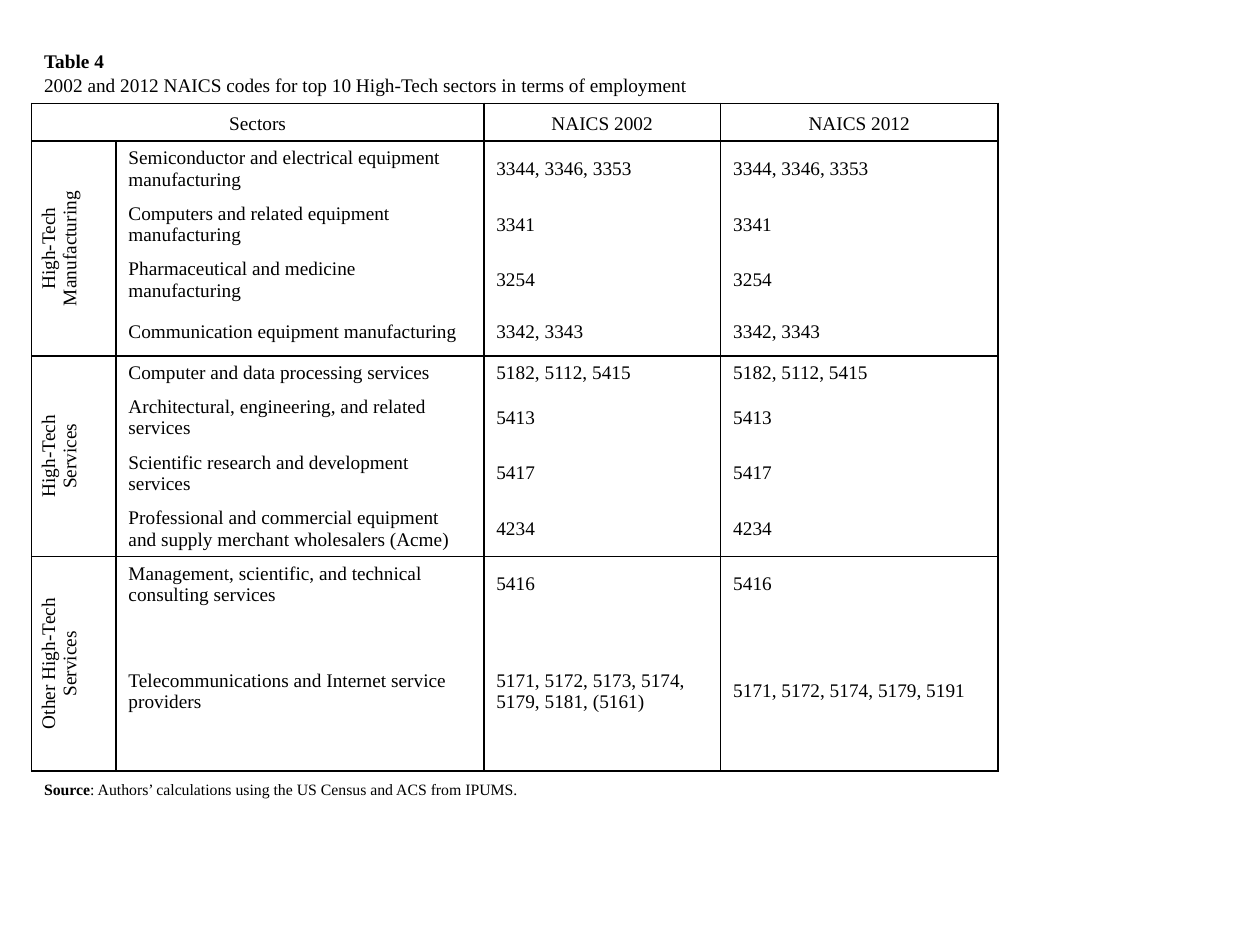
from pptx import Presentation
from pptx.dml.color import RGBColor
from pptx.enum import text
from pptx.oxml import parse_xml
from pptx.oxml.ns import nsdecls, qn
from pptx.util import Inches, Pt

BLACK = RGBColor(0, 0, 0)
FONT = "Times New Roman"

COLS = [0.67, 2.92, 1.88, 2.2]
ROWS = [0.49, 0.3, 0.44, 0.44, 0.44, 0.38, 0.27, 0.44, 0.44, 0.44, 0.44, 1.26, 0.3]
TITLE = [("Table 4", True),
         ("2002 and 2012 NAICS codes for top 10 High-Tech sectors in terms of employment", False)]
GROUPS = [
    ("High-Tech Manufacturing", [
        ("Semiconductor and electrical equipment manufacturing",
         "3344, 3346, 3353", "3344, 3346, 3353"),
        ("Computers and related equipment manufacturing", "3341", "3341"),
        ("Pharmaceutical and medicine manufacturing", "3254", "3254"),
        ("Communication equipment manufacturing", "3342, 3343", "3342, 3343")]),
    ("High-Tech\nServices", [
        ("Computer and data processing services", "5182, 5112, 5415", "5182, 5112, 5415"),
        ("Architectural, engineering, and related services", "5413", "5413"),
        ("Scientific research and development services", "5417", "5417"),
        ("Professional and commercial equipment and supply merchant wholesalers (Acme)",
         "4234", "4234")]),
    ("Other High-Tech Services", [
        ("Management, scientific, and technical consulting services", "5416", "5416"),
        ("Telecommunications and Internet service providers",
         "5171, 5172, 5173, 5174, 5179, 5181, (5161)", "5171, 5172, 5174, 5179, 5191")]),
]


def fill_cell(cell, value, center=False, spacing=None, size=11):
    cell.text_frame.text = value
    cell.vertical_anchor = text.MSO_ANCHOR.MIDDLE
    for p in cell.text_frame.paragraphs:
        if center:
            p.alignment = text.PP_ALIGN.CENTER
        if spacing:
            p.line_spacing = spacing
        for r in p.runs:
            r.font.name, r.font.size, r.font.color.rgb = FONT, Pt(size), BLACK


def set_borders(cell, sides):
    tcPr = cell._tc.get_or_add_tcPr()
    for side in "LRTB":
        if side in sides:
            line = f'<a:solidFill><a:srgbClr val="{BLACK}"/></a:solidFill>'
        else:
            line = "<a:noFill/>"
        tcPr.append(parse_xml(f'<a:ln{side} {nsdecls("a")} w="12700">{line}</a:ln{side}>'))
    cell.fill.background()


prs = Presentation()
prs.slide_width, prs.slide_height = Inches(10), Inches(7.5)
s = prs.slides.add_slide(prs.slide_layouts[6])

# Table grid without a banded style
table = s.shapes.add_table(len(ROWS), len(COLS), Inches(0.25), Inches(0.33),
                           Inches(sum(COLS)), Inches(sum(ROWS))).table
table.first_row = table.horz_banding = False
table._tbl.tblPr.find(qn("a:tableStyleId")).text = "{2D5ABB26-0587-4C30-8999-92F81FD0307C}"
for column, width in zip(table.columns, COLS):
    column.width = Inches(width)
for row, height in zip(table.rows, ROWS):
    row.height = Inches(height)

# Borders
last = len(ROWS) - 1
starts, ends, first = set(), set(), 2
for _, sectors in GROUPS:
    starts.add(first)
    first += len(sectors)
    ends.add(first - 1)
for i in range(len(ROWS)):
    for j in range(len(COLS)):
        if i == 0:
            sides = "B"
        elif i == last:
            sides = "T"
        elif i == 1:
            sides = "LRTB"
        else:
            sides = "LR" + "T" * (i in starts) + "B" * (i in ends)
        set_borders(table.cell(i, j), sides)

# Title row
title = table.cell(0, 0)
title.merge(table.cell(0, 2))
fill_cell(title, "\n".join(line for line, _ in TITLE), spacing=1.15)
for p, (_, bold) in zip(title.text_frame.paragraphs, TITLE):
    p.runs[0].font.bold = bold

# Header row
table.cell(1, 0).merge(table.cell(1, 1))
for j, heading in [(0, "Sectors"), (2, "NAICS 2002"), (3, "NAICS 2012")]:
    fill_cell(table.cell(1, j), heading, center=True, spacing=1.15)

# Sector groups
i = 2
for group, sectors in GROUPS:
    label = table.cell(i, 0)
    label.merge(table.cell(i + len(sectors) - 1, 0))
    fill_cell(label, group, center=True)
    label._tc.get_or_add_tcPr().set("vert", "vert270")
    for sector in sectors:
        for j, value in enumerate(sector, 1):
            cell = table.cell(i, j)
            fill_cell(cell, value)
            if j > 1:
                cell.margin_right = 0
        i += 1

# Source row
source = table.cell(last, 0)
source.merge(table.cell(last, 2))
fill_cell(source, "Source", size=9)
p = source.text_frame.paragraphs[0]
p.runs[0].font.bold = True
r = p.add_run()
r.text = ": Authors’ calculations using the US Census and ACS from IPUMS."
r.font.name, r.font.size, r.font.color.rgb = FONT, Pt(9), BLACK

# Small type in empty cells keeps their rows from growing
for cell in table.iter_cells():
    if not cell.text_frame.text:
        p = cell.text_frame.paragraphs[0]
        p._p.append(parse_xml(f'<a:endParaRPr {nsdecls("a")} sz="900"/>'))

prs.save("out.pptx")
